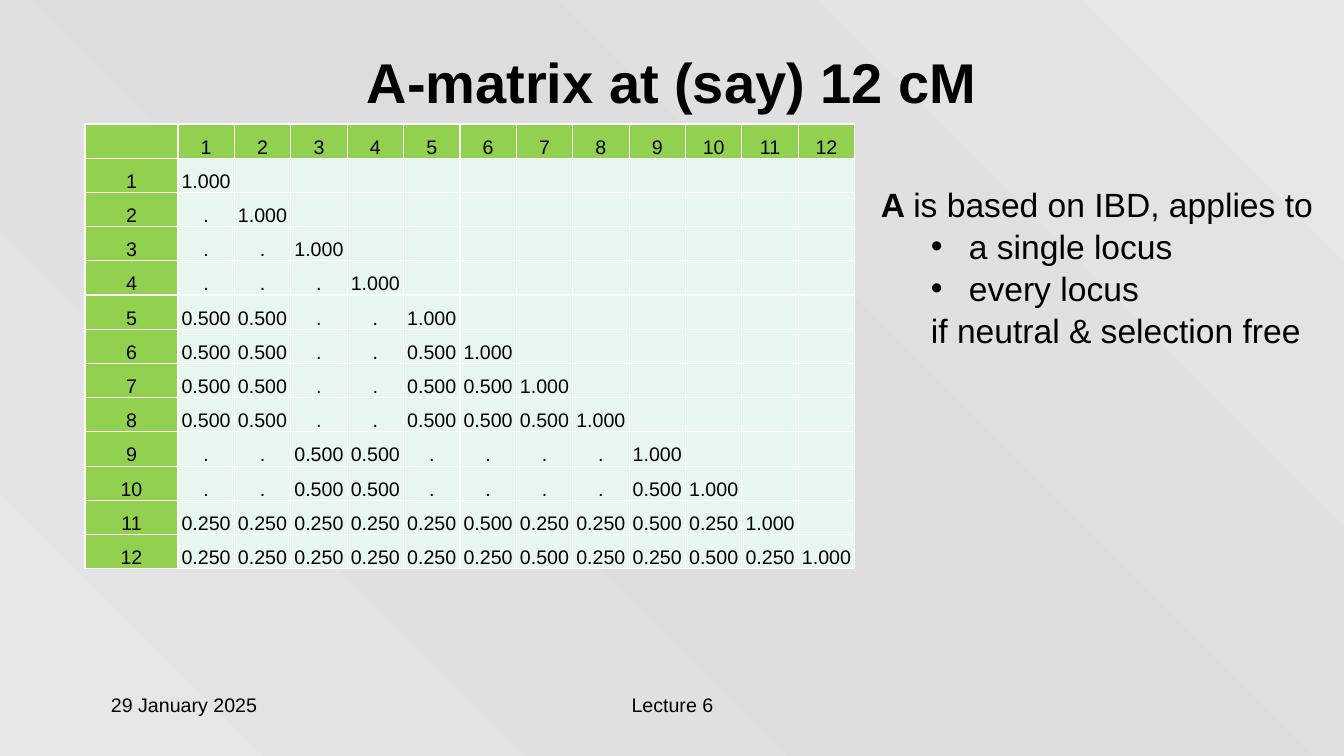
from copy import deepcopy
from dataclasses import dataclass

from lxml.etree import SubElement
from pptx import Presentation
from pptx.dml.color import RGBColor
from pptx.enum.text import MSO_ANCHOR, PP_ALIGN
from pptx.oxml import parse_xml
from pptx.oxml.ns import nsdecls, qn
from pptx.util import Emu, Pt

EMU_PER_PX = 914400 / 100.8


@dataclass(frozen=True)
class Theme:
    font: str = "Arial"
    ink: str = "000000"
    header_fill: str = "92D050"
    body_fill: str = "E7F6EF"
    border: str = "FFFFFF"
    backdrop: tuple = ((0, "E6E6E6"), (0.5, "DDDDDD"), (1, "E6E6E6"))
    title_size: int = 40
    note_size: int = 24
    small_size: int = 14


THEME = Theme()

# Lower triangle of the relationship matrix, one line per individual
RELATIONSHIPS = """
1.000
. 1.000
. . 1.000
. . . 1.000
0.500 0.500 . . 1.000
0.500 0.500 . . 0.500 1.000
0.500 0.500 . . 0.500 0.500 1.000
0.500 0.500 . . 0.500 0.500 0.500 1.000
. . 0.500 0.500 . . . . 1.000
. . 0.500 0.500 . . . . 0.500 1.000
0.250 0.250 0.250 0.250 0.250 0.500 0.250 0.250 0.500 0.250 1.000
0.250 0.250 0.250 0.250 0.250 0.250 0.500 0.250 0.250 0.500 0.250 1.000
"""


def px(length):
    return Emu(round(length * EMU_PER_PX))


def apply_format(target, values):
    for name, value in values.items():
        setattr(target, name, value)


def add_run(paragraph, text, size, bold=False):
    run = paragraph.add_run()
    run.text = text
    apply_format(run.font, {"name": THEME.font, "size": Pt(size), "bold": bold})
    run.font.color.rgb = RGBColor.from_string(THEME.ink)


def add_text_frame(slide, left, top, width, height, anchor=MSO_ANCHOR.TOP):
    box = slide.shapes.add_textbox(px(left), px(top), px(width), px(height))
    apply_format(box.text_frame, {"word_wrap": True, "vertical_anchor": anchor})
    return box.text_frame


def add_line_of_text(slide, area, text, size, bold=False,
                     alignment=PP_ALIGN.LEFT, anchor=MSO_ANCHOR.TOP):
    paragraph = add_text_frame(slide, *area, anchor).paragraphs[0]
    paragraph.alignment = alignment
    add_run(paragraph, text, size, bold)


def add_indented_paragraph(frame, text, margin, hanging=0, bullet=None):
    paragraph = frame.add_paragraph()
    properties = paragraph._p.get_or_add_pPr()
    properties.set("marL", str(px(margin)))
    properties.set("indent", str(px(-hanging)))
    if bullet:
        SubElement(properties, qn("a:buFont")).set("typeface", THEME.font)
        SubElement(properties, qn("a:buChar")).set("char", bullet)
    apply_format(paragraph, {"level": 1, "space_before": Pt(1.2)})
    add_run(paragraph, text, THEME.note_size)


def paint_background(slide):
    fill = slide.background.fill
    fill.gradient()
    first_stop = slide._element.find(".//" + qn("a:gs"))
    first_stop.addnext(deepcopy(first_stop))
    for stop, (position, color) in zip(fill.gradient_stops, THEME.backdrop):
        stop.position = position
        stop.color.rgb = RGBColor.from_string(color)
    fill.gradient_angle = 45


def set_borders(cell):
    properties = cell._tc.get_or_add_tcPr()
    for index, side in enumerate(("lnL", "lnR", "lnT", "lnB")):
        properties.insert(index, parse_xml(
            f'<a:{side} {nsdecls("a")} w="{Pt(1)}"><a:solidFill>'
            f'<a:srgbClr val="{THEME.border}"/></a:solidFill></a:{side}>'))


def format_cell(cell, text, color):
    apply_format(cell, {
        "margin_left": px(1), "margin_right": px(1),
        "margin_top": px(1), "margin_bottom": 0,
        "vertical_anchor": MSO_ANCHOR.BOTTOM,
    })
    cell.fill.solid()
    cell.fill.fore_color.rgb = RGBColor.from_string(color)
    set_borders(cell)
    if text:
        paragraph = cell.text_frame.paragraphs[0]
        paragraph.alignment = PP_ALIGN.CENTER
        add_run(paragraph, text, THEME.small_size)


def add_matrix(slide, left, top, label_width, values_width, height):
    values = [line.split() for line in RELATIONSHIPS.strip().splitlines()]
    count = len(values)
    labels = [str(number) for number in range(1, count + 1)]
    rows = [[""] + labels]
    for label, row in zip(labels, values):
        rows.append([label] + row + [""] * (count - len(row)))

    frame = slide.shapes.add_table(count + 1, count + 1, px(left), px(top),
                                   px(label_width + values_width), px(height))
    table = frame.table
    apply_format(table, {"first_row": False, "horz_banding": False})
    for index, column in enumerate(table.columns):
        column.width = px(values_width / count if index else label_width)
    for row in table.rows:
        row.height = px(height / (count + 1))
    for row_index, row in enumerate(rows):
        for column_index, text in enumerate(row):
            is_value = row_index and column_index
            color = THEME.body_fill if is_value else THEME.header_fill
            format_cell(table.cell(row_index, column_index), text, color)


def add_note(slide):
    frame = add_text_frame(slide, 871, 179, 453, 173)
    opening = frame.paragraphs[0]
    add_run(opening, "A ", THEME.note_size, bold=True)
    add_run(opening, "is based on IBD, applies to", THEME.note_size)
    for text in ("a single locus", "every locus"):
        add_indented_paragraph(frame, text, margin=88, hanging=38, bullet="•")
    add_indented_paragraph(frame, "if neutral & selection free", margin=50)


def main():
    presentation = Presentation()
    apply_format(presentation, {"slide_width": px(1344), "slide_height": px(756)})
    slide = presentation.slides.add_slide(presentation.slide_layouts[6])
    paint_background(slide)

    # Title
    add_line_of_text(slide, (26, 30, 1291, 102), "A-matrix at (say) 12 cM",
                     THEME.title_size, True, PP_ALIGN.CENTER, MSO_ANCHOR.MIDDLE)

    # Relationship matrix and its explanation
    add_matrix(slide, left=85, top=124, label_width=93, values_width=677, height=445)
    add_note(slide)

    # Footer
    add_line_of_text(slide, (101, 688, 280, 50), "29 January 2025", THEME.small_size)
    add_line_of_text(slide, (460, 688, 425, 50), "Lecture 6", THEME.small_size,
                     alignment=PP_ALIGN.CENTER)

    presentation.save("out.pptx")


if __name__ == "__main__":
    main()
